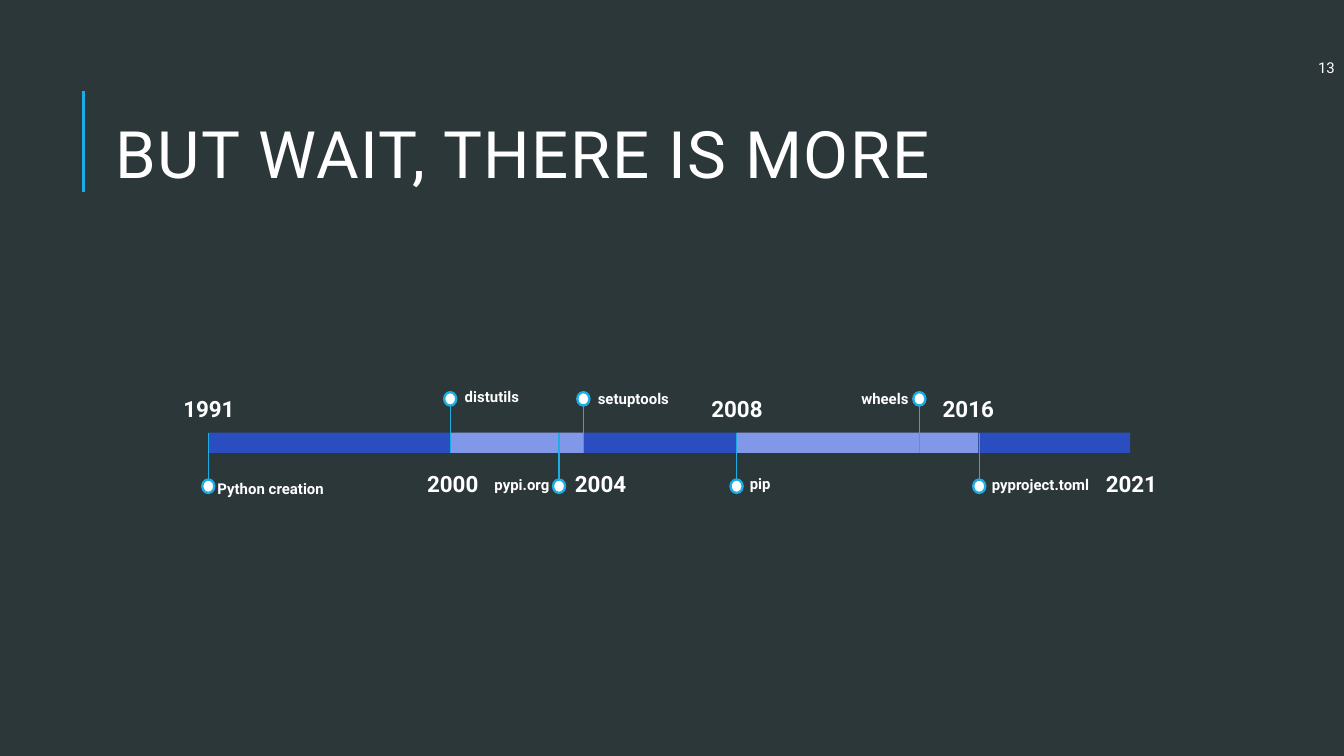
from itertools import cycle, pairwise

from lxml.etree import SubElement
from pptx import Presentation
from pptx.dml.color import RGBColor
from pptx.enum.shapes import MSO_CONNECTOR as Connector, MSO_SHAPE as Shape
from pptx.enum.text import MSO_ANCHOR as Anchor, MSO_AUTO_SIZE as AutoSize, PP_ALIGN as Align
from pptx.oxml.ns import qn
from pptx.util import Pt

TITLE = "BUT WAIT, THERE IS MORE"
PAGE_NUMBER = "13"
BACKGROUND, WHITE, ACCENT = "2C373A", "FFFFFF", "1CADE4"
BAR_COLORS = ("2A4DC0", "8098E7")
FONT = "Roboto"

BAR_EDGES = (111.6, 241.2, 312.5, 394.6, 524.2, 605.5)
BAR_TOP, BAR_HEIGHT = 231.8, 10.8
ABOVE, BELOW = 213.7, 260.5
DOT_WIDTH, DOT_HEIGHT = 6.5, 7.2

YEARS = [
    ("1991", 112, 202.3),
    ("2000", 242.6, 242.6),
    ("2004", 321.8, 242.6),
    ("2008", 394.9, 202.3),
    ("2016", 518.8, 202.3),
    ("2021", 606.2, 242.6),
]
EVENTS = [
    ("Python creation", 111.6, BELOW, (109.4, 249.8, 110)),
    ("distutils", 241.2, ABOVE, (241.9, 200.2, 47.5)),
    ("pypi.org", 299.5, BELOW, (257.8, 247.7, 45.4)),
    ("setuptools", 312.5, ABOVE, (313.2, 201.6, 67)),
    ("pip", 394.6, BELOW, (394.6, 247, 40.3)),
    ("wheels", 492.5, ABOVE, (454.3, 201.6, 149.8)),
    ("pyproject.toml", 524.6, BELOW, (524.2, 247.7, 164.2)),
]


def color(hex_code):
    return RGBColor.from_string(hex_code)


def style_text(frame, size, align=Align.LEFT, bold=False, margin=0, spacing=1.0):
    frame.word_wrap = True
    frame.auto_size = AutoSize.NONE
    frame.margin_left = frame.margin_right = Pt(margin)
    frame.margin_top = frame.margin_bottom = Pt(margin)
    for para in frame.paragraphs:
        para.alignment = align
        para.line_spacing = spacing
        for span in para.runs:
            span.font.name = FONT
            span.font.size = Pt(size)
            span.font.bold = bold
            span.font.color.rgb = color(WHITE)


def add_text(page, text, left, top, width, height, size, **style):
    box = page.shapes.add_textbox(Pt(left), Pt(top), Pt(width), Pt(height))
    box.text_frame.text = text
    style_text(box.text_frame, size, **style)
    return box


def add_shape(page, kind, left, top, width, height, fill):
    shape = page.shapes.add_shape(kind, Pt(left), Pt(top), Pt(width), Pt(height))
    shape.shadow.inherit = False
    shape.fill.solid()
    shape.fill.fore_color.rgb = color(fill)
    shape.line.fill.background()
    return shape


def add_vertical(page, x, start, end, weight):
    line = page.shapes.add_connector(Connector.STRAIGHT, Pt(x), Pt(start), Pt(x), Pt(end))
    line.line.color.rgb = color(ACCENT)
    line.line.width = Pt(weight)
    SubElement(line._element.spPr, qn("a:effectLst"))


def add_heading(page):
    add_vertical(page, 44.6, 103, 49, 1.5)
    title = page.shapes.title
    title.left, title.top, title.width, title.height = Pt(62), Pt(56.2), Pt(596), Pt(140.4)
    title.text_frame.text = TITLE
    title.text_frame.vertical_anchor = Anchor.TOP
    style_text(title.text_frame, 35, spacing=1.1)
    for span in title.text_frame.paragraphs[0].runs:
        span.font._element.set("spc", "80")
    number = add_text(page, PAGE_NUMBER, 701.3, 23.8, 18.7, 24.5, 8, align=Align.CENTER)
    number.text_frame.vertical_anchor = Anchor.MIDDLE


def add_event(page, name, x, dot_y, label):
    bar_side = BAR_TOP + BAR_HEIGHT if dot_y == ABOVE else BAR_TOP
    add_vertical(page, x, dot_y, bar_side, 0.75)
    dot = add_shape(page, Shape.OVAL, x - DOT_WIDTH / 2, dot_y - DOT_HEIGHT / 2,
                    DOT_WIDTH, DOT_HEIGHT, WHITE)
    dot.line.color.rgb = color(ACCENT)
    dot.line.width = Pt(1.25)
    left, top, width = label
    add_text(page, name, left, top, width, 24, 8, bold=True, margin=7.2)


def main():
    deck = Presentation()
    deck.slide_width, deck.slide_height = Pt(720), Pt(405)
    page = deck.slides.add_slide(deck.slide_layouts[5])
    page.background.fill.solid()
    page.background.fill.fore_color.rgb = color(BACKGROUND)

    add_heading(page)
    for (left, right), fill in zip(pairwise(BAR_EDGES), cycle(BAR_COLORS)):
        add_shape(page, Shape.RECTANGLE, left, BAR_TOP, right - left, BAR_HEIGHT, fill)
    for year, center, top in YEARS:
        add_text(page, year, center - 25, top, 50, 29.5, 12,
                 align=Align.CENTER, bold=True, margin=7.2, spacing=1.15)
    for event in EVENTS:
        add_event(page, *event)
    deck.save("out.pptx")


if __name__ == "__main__":
    main()
